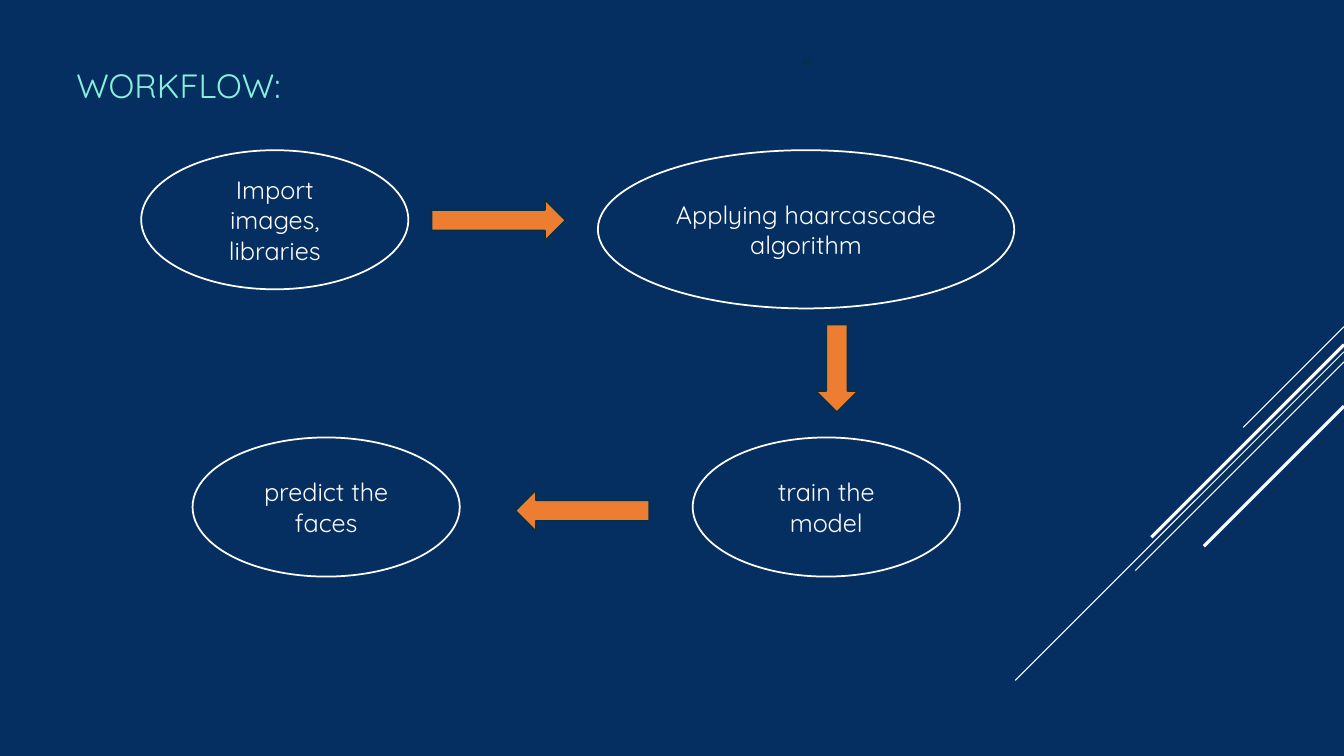
from dataclasses import dataclass

from lxml import etree
from pptx import Presentation
from pptx import util as u
from pptx.dml.color import RGBColor
from pptx.enum import shapes, text
from pptx.oxml import ns
from pptx.shapes.autoshape import Shape
from pptx.slide import Slide
from pptx.text.text import TextFrame


@dataclass(frozen=True)
class Theme:
    navy: RGBColor = RGBColor(0x05, 0x2F, 0x61)
    white: RGBColor = RGBColor(0xFF, 0xFF, 0xFF)
    orange: RGBColor = RGBColor(0xED, 0x7D, 0x31)
    edge: RGBColor = RGBColor(0x04, 0x31, 0x48)
    mint: RGBColor = RGBColor(0x87, 0xEF, 0xDA)
    font: str = "Quicksand"
    title_size: float = 24
    step_size: float = 18
    outline: float = 1.25


@dataclass(frozen=True)
class Stripe:
    """A 45-degree line running down and left from the right slide edge."""
    top: float
    reach: float
    weight: float


@dataclass(frozen=True)
class Step:
    label: str
    left: float
    top: float
    width: float = 2.65
    height: float = 1.38


@dataclass(frozen=True)
class Arrow:
    kind: shapes.MSO_SHAPE
    left: float
    top: float
    width: float = 1.33
    height: float = 0.41
    rotation: float = 0


THEME = Theme()
SLIDE_WIDTH, SLIDE_HEIGHT = 13.33, 7.5

STRIPES = [
    Stripe(3.24, 1.0, 0.75),
    Stripe(3.49, 3.26, 0.75),
    Stripe(3.59, 2.07, 0.75),
    Stripe(3.42, 1.91, 2.25),
    Stripe(4.03, 1.39, 2.25),
]
STEPS = [
    Step("Import images, libraries", 1.4, 1.49),
    Step("predict the faces", 1.91, 4.34),
    Step("train the model", 6.87, 4.34),
    Step("Applying haarcascade algorithm", 5.93, 1.49, 4.13, 1.57),
]
ARROWS = [
    Arrow(shapes.MSO_SHAPE.RIGHT_ARROW, 5.11, 4.86, rotation=180),
    Arrow(shapes.MSO_SHAPE.RIGHT_ARROW, 4.28, 1.98),
    Arrow(shapes.MSO_SHAPE.DOWN_ARROW, 8.09, 3.22, 0.42, 0.87),
]


def add_stripe(page: Slide, stripe: Stripe) -> None:
    line = page.shapes.add_connector(
        shapes.MSO_CONNECTOR.STRAIGHT,
        u.Inches(SLIDE_WIDTH), u.Inches(stripe.top),
        u.Inches(SLIDE_WIDTH - stripe.reach), u.Inches(stripe.top + stripe.reach))
    line.line.color.rgb = THEME.white
    line.line.width = u.Pt(stripe.weight)
    properties = line.element.find(ns.qn("p:spPr"))
    etree.SubElement(properties, ns.qn("a:effectLst"))


def add_outlined(page: Slide, kind: shapes.MSO_SHAPE, left: float, top: float,
                 width: float, height: float,
                 fill: RGBColor, edge: RGBColor) -> Shape:
    shape = page.shapes.add_shape(kind, u.Inches(left), u.Inches(top),
                                  u.Inches(width), u.Inches(height))
    shape.shadow.inherit = False
    shape.fill.solid()
    shape.fill.fore_color.rgb = fill
    shape.line.color.rgb = edge
    shape.line.width = u.Pt(THEME.outline)
    return shape


def write(frame: TextFrame, words: str, size: float, color: RGBColor,
          align: text.PP_ALIGN) -> None:
    frame.word_wrap = True
    para = frame.paragraphs[0]
    para.alignment = align
    span = para.add_run()
    span.text = words
    span.font.name = THEME.font
    span.font.size = u.Pt(size)
    span.font.color.rgb = color


def add_step(page: Slide, step: Step) -> None:
    oval = add_outlined(page, shapes.MSO_SHAPE.OVAL, step.left, step.top,
                        step.width, step.height, THEME.navy, THEME.white)
    oval.text_frame.vertical_anchor = text.MSO_ANCHOR.MIDDLE
    write(oval.text_frame, step.label, THEME.step_size, THEME.white,
          text.PP_ALIGN.CENTER)


def add_arrow(page: Slide, arrow: Arrow) -> None:
    shape = add_outlined(page, arrow.kind, arrow.left, arrow.top,
                         arrow.width, arrow.height, THEME.orange, THEME.edge)
    shape.rotation = arrow.rotation


def add_title(page: Slide) -> None:
    box = page.shapes.add_textbox(u.Inches(0.66), u.Inches(0.59),
                                  u.Inches(6.94), u.Inches(0.5))
    box.text_frame.auto_size = text.MSO_AUTO_SIZE.SHAPE_TO_FIT_TEXT
    write(box.text_frame, "WORKFLOW:", THEME.title_size, THEME.mint,
          text.PP_ALIGN.LEFT)


def main() -> None:
    deck = Presentation()
    deck.slide_width = u.Inches(SLIDE_WIDTH)
    deck.slide_height = u.Inches(SLIDE_HEIGHT)
    page = deck.slides.add_slide(deck.slide_layouts[6])
    page.background.fill.solid()
    page.background.fill.fore_color.rgb = THEME.navy

    for stripe in STRIPES:
        add_stripe(page, stripe)
    for step in STEPS:
        add_step(page, step)
    for arrow in ARROWS:
        add_arrow(page, arrow)
    add_title(page)
    add_outlined(page, shapes.MSO_SHAPE.OVAL, 7.97, 0.59, 0.05, 0.05,
                 THEME.navy, THEME.edge)
    deck.save("out.pptx")


if __name__ == "__main__":
    main()
